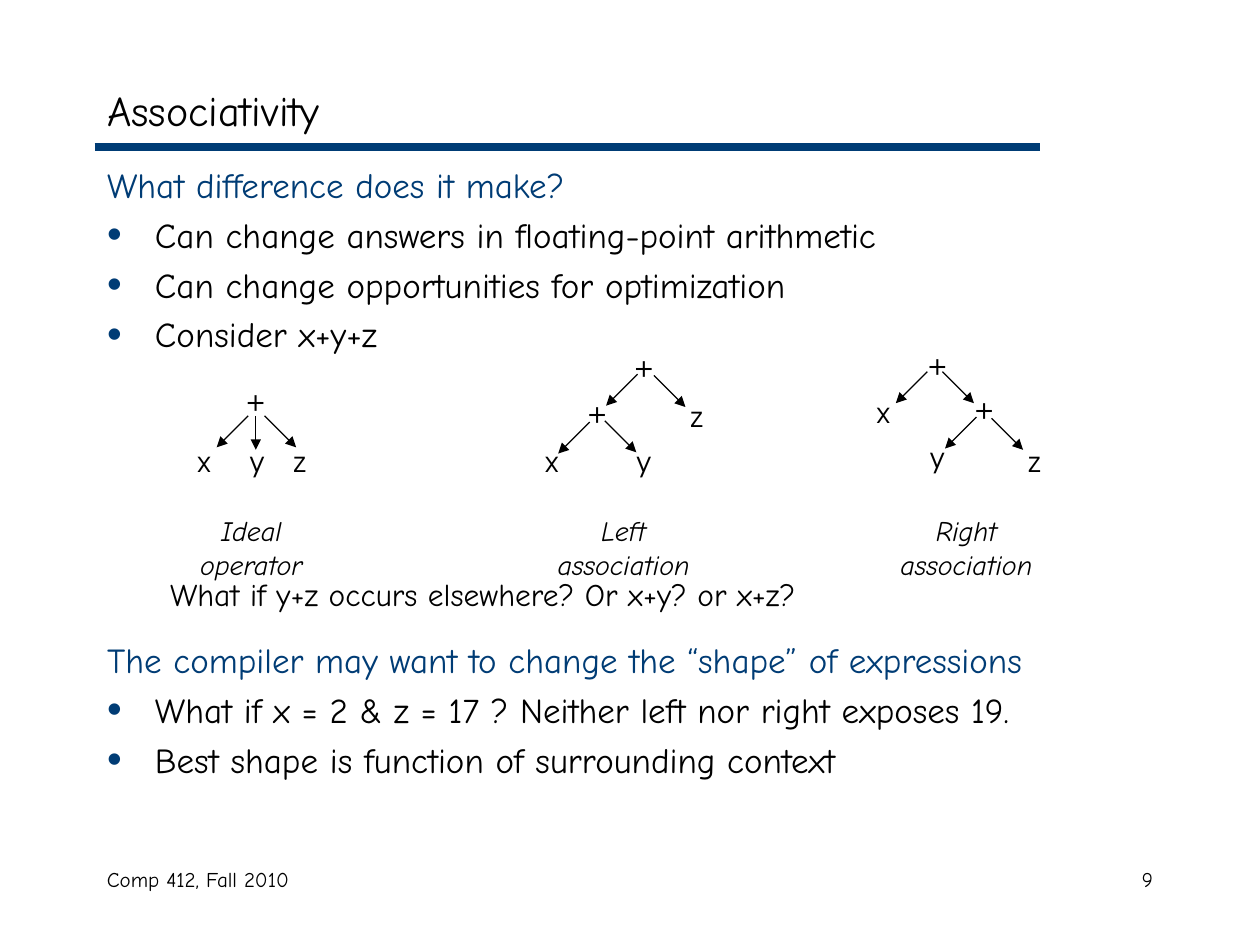
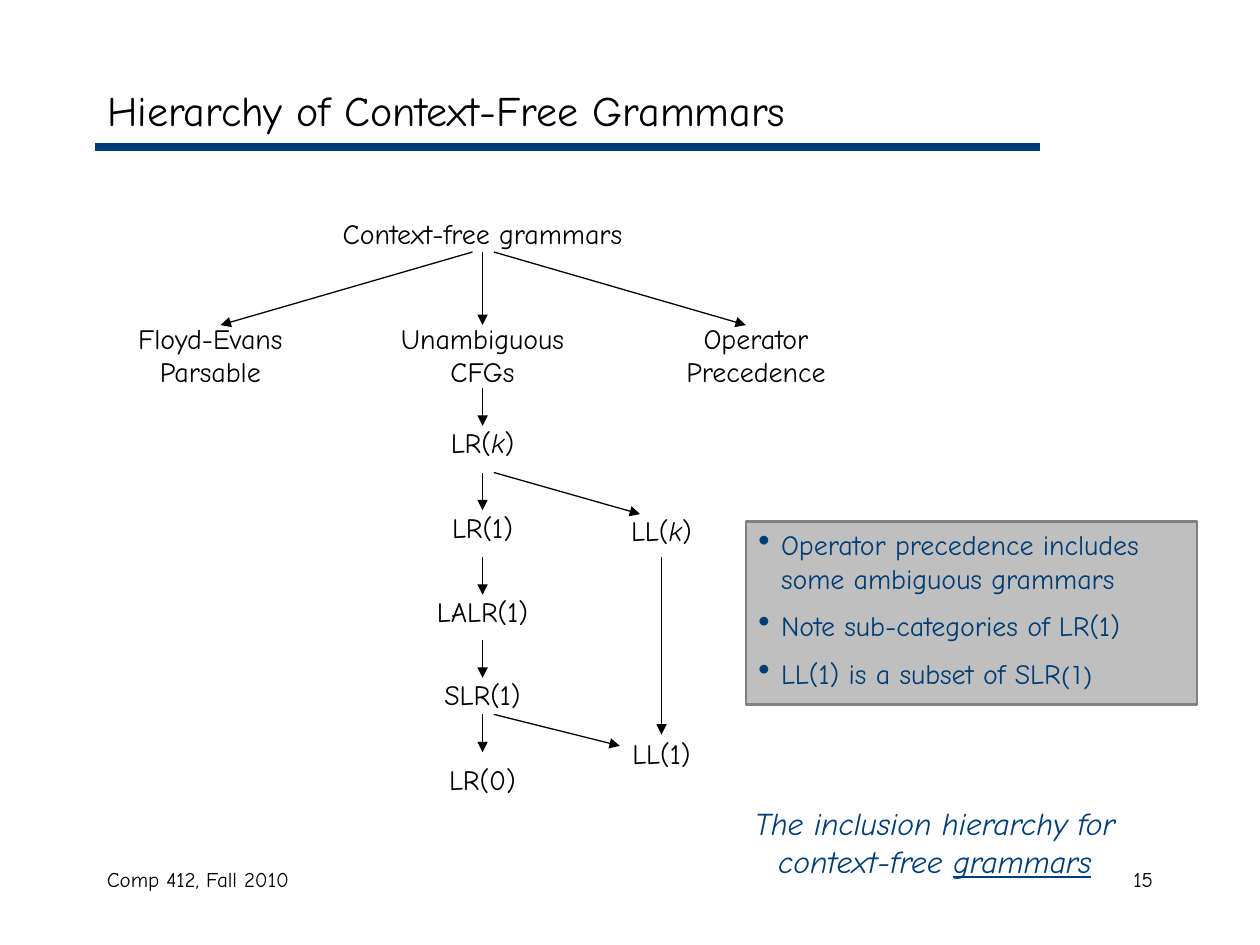
from dataclasses import dataclass

from lxml import etree
from pptx import Presentation
from pptx.dml.color import RGBColor
from pptx.enum.shapes import MSO_CONNECTOR, MSO_SHAPE
from pptx.enum.text import MSO_ANCHOR, MSO_AUTO_SIZE, PP_ALIGN
from pptx.oxml.ns import qn
from pptx.util import Inches, Pt

LEFT, MID, RIGHT = PP_ALIGN.LEFT, PP_ALIGN.CENTER, PP_ALIGN.RIGHT
TOP, CENTER = MSO_ANCHOR.TOP, MSO_ANCHOR.MIDDLE
RECT, LINE, FIXED = MSO_SHAPE.RECTANGLE, MSO_CONNECTOR.STRAIGHT, MSO_AUTO_SIZE.NONE


@dataclass(frozen=True)
class Theme:
    font: str = "Comic Neue"
    math: str = "TeX Gyre Adventor"
    ink: str = "000000"
    blue: str = "003C75"
    gray: str = "BFBFBF"
    edge: str = "808080"
    title: int = 24
    body: int = 20
    sub: int = 18
    label: int = 16
    small: int = 14
    foot: int = 12


T = Theme()
COURSE = "Comp 412, Fall 2010"

POINTS = [
    ("head", 0, "What difference does it make?"),
    ("item", 4.4, "Can change answers in floating-point arithmetic"),
    ("item", 4.4, "Can change opportunities for optimization"),
    ("item", 4.4, "Consider x+y+z"),
    ("sub", 126, "What if y+z occurs elsewhere? Or x+y? or x+z?"),
    ("head", 14.5, "The compiler may want to change the “shape” of expressions"),
    ("item", 4.4, "What if x = 2 & z = 17 ? Neither left nor right exposes 19."),
    ("item", 4.4, "Best shape is function of surrounding context"),
]
KINDS = {
    "head": (T.body, T.blue, 0.38, -0.38, False),
    "item": (T.body, T.ink, 0.38, -0.38, True),
    "sub": (T.sub, T.ink, 0.81, -0.31, False),
}

TREES = [
    {"name": "Ideal operator", "at": (1.33, 1.33),
     "nodes": [("+", 1.82, 2.99), ("x", 1.41, 3.48), ("y", 1.83, 3.48), ("z", 2.17, 3.48)],
     "arms": [(1.97, 3.3, -1), (2.03, 3.3, 0), (2.1, 3.3, 1)]},
    {"name": "Left association", "at": (4.2, 1.5),
     "nodes": [("+", 4.9, 2.72), ("+", 4.53, 3.08), ("z", 5.32, 3.12),
               ("x", 4.17, 3.48), ("y", 4.9, 3.48)],
     "arms": [(5.06, 2.97, -1), (5.19, 2.98, 1), (4.68, 3.35, -1), (4.8, 3.34, 1)]},
    {"name": "Right association", "at": (6.92, 1.5),
     "nodes": [("+", 7.23, 2.7), ("x", 6.8, 3.09), ("+", 7.6, 3.05),
               ("y", 7.23, 3.45), ("z", 8, 3.48)],
     "arms": [(7.36, 2.95, -1), (7.48, 2.95, 1), (7.75, 3.31, -1), (7.87, 3.32, 1)]},
]

SPINE, SIDE = 3.83, 5.25
ITALIC = {"italic": True}
CLASSES = [
    (SPINE, 1.67, ["Context-free grammars"]),
    (1.67, 2.5, ["Floyd-Evans", "Parsable"]),
    (SPINE, 2.5, ["Unambiguous", "CFGs"]),
    (6, 2.5, ["Operator", "Precedence"]),
    (SPINE, 3.33, [["LR(", ("k", ITALIC), ")"]]),
    (SPINE, 4, ["LR(1)"]),
    (SPINE, 4.67, ["LALR(1)"]),
    (SPINE, 5.33, ["SLR(1)"]),
    (SPINE, 6, ["LR(0)"]),
    (SIDE, 4.03, [["LL(", ("k", ITALIC), ")"]]),
    (SIDE, 5.8, ["LL(1)"]),
]
DROPS = [3.08, 3.75, 4.42, 5.08, 5.67]
LINKS = [
    (SPINE, 2, SPINE, 2.58), (3.75, 2, 1.75, 2.58), (3.92, 2, 5.92, 2.58),
    (3.92, 3.75, 5.08, 4.08), (SIDE, 4.42, SIDE, 5.83), (3.92, 5.67, 4.92, 5.92),
] + [(SPINE, y, SPINE, y + 0.3) for y in DROPS]
NOTES = [
    "Operator precedence includes some ambiguous grammars",
    "Note sub-categories of LR(1)",
    ["LL(1) is a subset of SLR", ("(1)", {"name": T.math, "size": Pt(T.small)})],
]
CAPTION = ["The inclusion hierarchy for",
           ["context-free ", ("grammars", {"underline": True})]]


def place(shape, x, y, w, h):
    shape.left, shape.top, shape.width, shape.height = map(Inches, (x, y, w, h))


def indent(para, left, first, dot):
    props = para._p.get_or_add_pPr()
    props.set("marL", str(Inches(left)))
    props.set("indent", str(Inches(first)))
    if not dot:
        etree.SubElement(props, qn("a:buNone"))
        return
    tint = etree.SubElement(props, qn("a:buClr"))
    etree.SubElement(tint, qn("a:srgbClr"), val=T.blue)
    etree.SubElement(props, qn("a:buSzPct"), val="120000")
    etree.SubElement(props, qn("a:buChar"), char="•")


def style(para, size, color=T.ink, face=T.font, align=LEFT, italic=False, gap=0):
    para.alignment = align
    para.space_before = Pt(gap)
    font = para.font
    font.name, font.size, font.italic = face, Pt(size), italic
    font.color.rgb = RGBColor.from_string(color)


def fill(para, runs):
    for part in [runs] if isinstance(runs, str) else runs:
        text, look = (part, {}) if isinstance(part, str) else part
        run = para.add_run()
        run.text = text
        for key, val in look.items():
            setattr(run.font, key, val)


def paras(frame, lines):
    frame.word_wrap = True
    frame.auto_size = FIXED
    for i, runs in enumerate(lines):
        para = frame.add_paragraph() if i else frame.paragraphs[0]
        fill(para, runs)
        yield i, para


def label(slide, box, lines, size=T.label, align=MID, **look):
    frame = slide.shapes.add_textbox(*map(Inches, box)).text_frame
    for _, para in paras(frame, lines):
        style(para, size, align=align, **look)


def line(slide, ends, color=T.ink, width=0.75, arrow=True):
    wire = slide.shapes.add_connector(LINE, *map(Inches, ends))
    wire.line.color.rgb = RGBColor.from_string(color)
    wire.line.width = Pt(width)
    if arrow:
        etree.SubElement(wire.line._get_or_add_ln(), qn("a:tailEnd"), type="triangle")
    etree.SubElement(wire._element.spPr, qn("a:effectLst"))


def start(deck, layout, title, page):
    slide = deck.slides.add_slide(deck.slide_layouts[layout])
    head = slide.shapes.title
    place(head, 0.75, 0.58, 8.5, 0.58)
    head.text_frame.vertical_anchor = CENTER
    for _, para in paras(head.text_frame, [title]):
        style(para, T.title)
    line(slide, (0.75, 1.17, 8.25, 1.17), T.blue, 4.5, False)
    label(slide, (0.75, 6.83, 3.17, 0.5), [COURSE], T.foot, LEFT)
    label(slide, (7.17, 6.83, 2.08, 0.5), [str(page)], T.foot, RIGHT)
    return slide


def shapes(deck):
    slide = start(deck, 1, "Associativity", 9)
    body = slide.placeholders[1]
    place(body, 0.75, 1.25, 8.5, 5.42)
    for i, para in paras(body.text_frame, [text for _, _, text in POINTS]):
        kind, gap, _ = POINTS[i]
        size, color, left, first, dot = KINDS[kind]
        para.level = int(kind == "sub")
        indent(para, left, first, dot)
        style(para, size, color, gap=gap)
    for tree in TREES:
        for text, x, y in tree["nodes"]:
            label(slide, (x, y, 0.42, 0.37), [text], face=T.math)
        for x, y, side in tree["arms"]:
            line(slide, (x, y, x + 0.25 * side, y + (0.25 if side else 0.27)))
        x, w = tree["at"]
        label(slide, (x, 4.03, w, 0.64), [tree["name"]], italic=True)


def ranks(deck):
    slide = start(deck, 5, "Hierarchy of Context-Free Grammars", 15)
    label(slide, (5.67, 6.33, 3.5, 0.7), CAPTION, T.sub, color=T.blue, italic=True)
    panel = slide.shapes.add_shape(RECT, *map(Inches, (5.92, 4.14, 3.58, 1.45)))
    panel.shadow.inherit = False
    panel.fill.solid()
    panel.fill.fore_color.rgb = RGBColor.from_string(T.gray)
    panel.line.color.rgb = RGBColor.from_string(T.edge)
    panel.line.width = Pt(1.5)
    panel.text_frame.vertical_anchor = TOP
    for i, para in paras(panel.text_frame, NOTES):
        indent(para, 0.18, -0.18, True)
        style(para, T.label, T.blue, gap=8 if i else 0)
    for mid, y, lines in CLASSES:
        w = 3.17 if y < 2 else 1.83 if len(lines) > 1 else 1.17
        label(slide, (mid - w / 2, y, w, 0.1 + 0.27 * len(lines)), lines)
    for ends in LINKS:
        line(slide, ends)


def main():
    deck = Presentation()
    deck.slide_width, deck.slide_height = Inches(10), Inches(7.5)
    shapes(deck)
    ranks(deck)
    deck.save("out.pptx")


if __name__ == "__main__":
    main()
